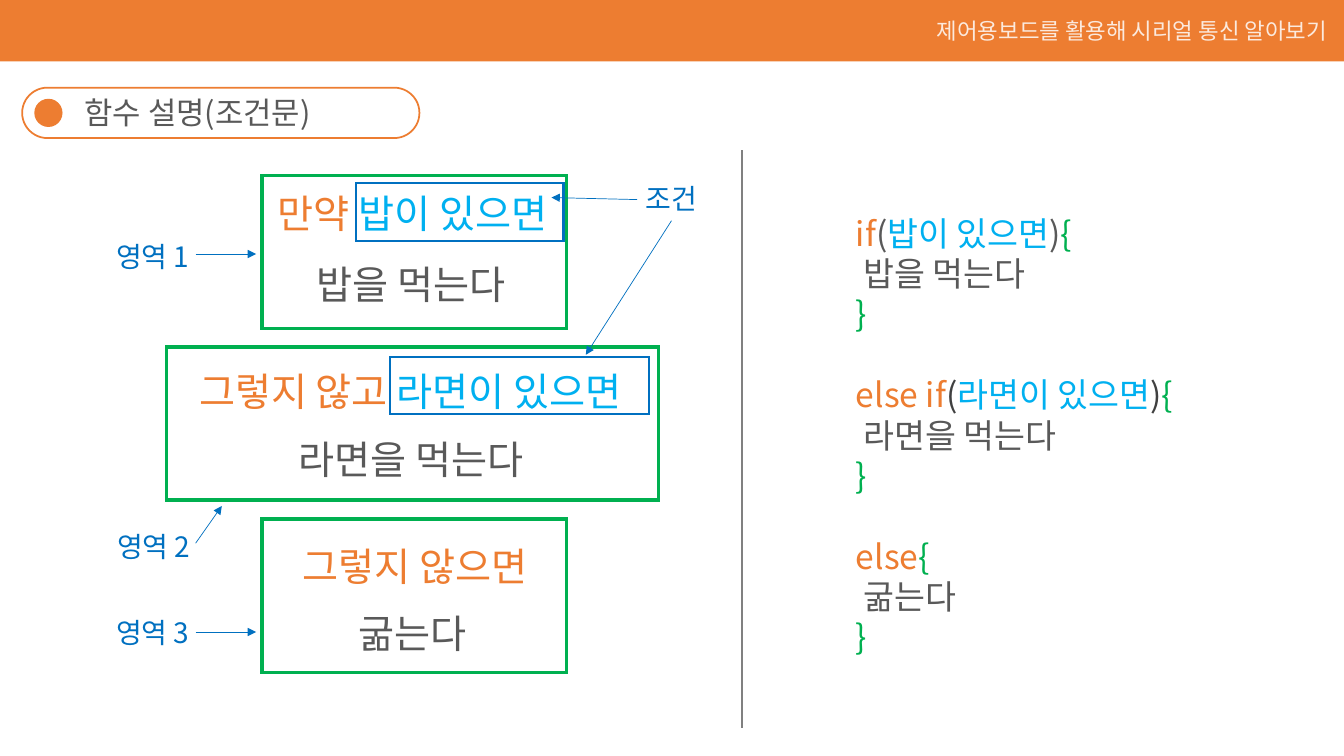
from lxml import etree
from pptx import Presentation
from pptx.dml.color import RGBColor
from pptx.enum import shapes, text
from pptx.oxml import ns
from pptx.util import Inches, Pt

FONT = "Noto Sans CJK KR"
ORANGE, GRAY, DARK = "ED7D31", "595959", "404040"
SKY, BLUE, GREEN, WHITE = "00B0F0", "0070C0", "00B050", "FFFFFF"
LEFT, CENTER, RIGHT = text.PP_ALIGN.LEFT, text.PP_ALIGN.CENTER, text.PP_ALIGN.RIGHT
RECTANGLE = shapes.MSO_SHAPE.RECTANGLE


def color(hex_string):
    return RGBColor.from_string(hex_string)


def add_runs(paragraph, runs, size, alignment):
    """Fill a paragraph with (wording, colour) runs."""
    paragraph.alignment = alignment
    for wording, run_color in runs:
        run = paragraph.add_run()
        run.text = wording
        run.font.size = Pt(size)
        run.font.color.rgb = color(run_color)
        run.font.name = FONT
        properties = run.font._element
        etree.SubElement(properties, ns.qn("a:ea"), typeface=FONT)


presentation = Presentation()
presentation.slide_width = Inches(13.33)
presentation.slide_height = Inches(7.5)
slide = presentation.slides.add_slide(presentation.slide_layouts[5])

# Header band, title pill and its dot
decorations = [
    (RECTANGLE, (0, 0, 13.33, 0.61), ORANGE, None),
    (shapes.MSO_SHAPE.ROUNDED_RECTANGLE, (0.22, 0.87, 3.94, 0.5), WHITE, (ORANGE, 1.25)),
    (shapes.MSO_SHAPE.OVAL, (0.34, 0.98, 0.28, 0.28), ORANGE, None),
]
# Green areas and blue conditions
outlines = [
    (RECTANGLE, (2.6, 1.74, 3.02, 1.52), None, (GREEN, 2.5)),
    (RECTANGLE, (1.65, 3.44, 4.88, 1.52), None, (GREEN, 2.5)),
    (RECTANGLE, (2.6, 5.15, 3.02, 1.52), None, (GREEN, 2.5)),
    (RECTANGLE, (3.53, 1.82, 2.06, 0.57), None, (BLUE, 1.5)),
    (RECTANGLE, (3.87, 3.54, 2.57, 0.57), None, (BLUE, 1.5)),
]
for preset, box, fill, line in decorations + outlines:
    shape = slide.shapes.add_shape(preset, *map(Inches, box))
    shape.shadow.inherit = False
    if preset == shapes.MSO_SHAPE.ROUNDED_RECTANGLE:
        shape.adjustments[0] = 0.5
    if fill:
        shape.fill.solid()
        shape.fill.fore_color.rgb = color(fill)
    else:
        shape.fill.background()
    if line:
        shape.line.color.rgb = color(line[0])
        shape.line.width = Pt(line[1])
        etree.SubElement(shape.element.spPr.find(ns.qn("a:ln")), ns.qn("a:miter"), lim="800000")
    else:
        shape.line.fill.background()

# Title, raised above the pill
title = slide.shapes.title
title.left, title.top, title.width, title.height = map(Inches, (0.74, 0.95, 3.26, 0.38))
title.text_frame.vertical_anchor = text.MSO_ANCHOR.MIDDLE
title.text_frame.auto_size = text.MSO_AUTO_SIZE.NONE
title_paragraph = title.text_frame.paragraphs[0]
title_paragraph.line_spacing = 0.9
add_runs(title_paragraph, [("함수 설명(조건문)", GRAY)], 22, LEFT)
title.element.getparent().append(title.element)

# Divider and arrows
connectors = [
    ((7.36, 1.49, 7.36, 7.22), "808080", 1.5, False),
    ((6.32, 1.98, 5.47, 1.96), BLUE, 0.5, True),
    ((6.66, 2.19, 5.81, 3.52), BLUE, 0.5, True),
    ((1.94, 2.52, 2.54, 2.52), BLUE, 0.5, True),
    ((1.94, 5.39, 2.2, 5.02), BLUE, 0.5, True),
    ((1.94, 6.27, 2.54, 6.27), BLUE, 0.5, True),
]
for ends, line_color, width, has_arrow in connectors:
    connector = slide.shapes.add_connector(shapes.MSO_CONNECTOR.STRAIGHT, *map(Inches, ends))
    connector.line.color.rgb = color(line_color)
    connector.line.width = Pt(width)
    shape_properties = connector.element.spPr
    if has_arrow:
        line_element = shape_properties.find(ns.qn("a:ln"))
        etree.SubElement(line_element, ns.qn("a:tailEnd"), type="triangle")
    etree.SubElement(shape_properties, ns.qn("a:effectLst"))

# Sentences, labels and header wording
texts = [
    ((1.75, 1.83, 4.68, 0.57), 28, CENTER, [("만약 ", ORANGE), ("밥이 있으면", SKY)]),
    ((2.2, 2.53, 3.75, 0.57), 28, CENTER, [("밥을 먹는다", GRAY)]),
    ((1.53, 3.59, 5.08, 0.57), 28, CENTER, [("그렇지 않고 ", ORANGE), ("라면이 있으면", SKY)]),
    ((2.2, 4.27, 3.75, 0.57), 28, CENTER, [("라면을 먹는다", GRAY)]),
    ((1.58, 5.33, 5.08, 0.57), 28, CENTER, [("그렇지 않으면", ORANGE)]),
    ((2.22, 6, 3.75, 0.57), 28, CENTER, [("굶는다", GRAY)]),
    ((6.15, 1.75, 1.02, 0.44), 20, CENTER, [("조건", BLUE)]),
    ((1.04, 2.33, 0.95, 0.44), 20, CENTER, [("영역 1", BLUE)]),
    ((1.05, 5.2, 0.95, 0.44), 20, CENTER, [("영역 2", BLUE)]),
    ((1.04, 6.06, 0.95, 0.44), 20, CENTER, [("영역 3", BLUE)]),
    ((9.08, 0.12, 4.18, 0.37), 16, RIGHT, [("제어용보드를 활용해 시리얼 통신 알아보기", WHITE)]),
]
for box, size, alignment, runs in texts:
    label = slide.shapes.add_textbox(*map(Inches, box))
    label.text_frame.word_wrap = True
    label.text_frame.auto_size = text.MSO_AUTO_SIZE.SHAPE_TO_FIT_TEXT
    add_runs(label.text_frame.paragraphs[0], runs, size, alignment)

# The header wording, last in the list, is slightly transparent
for header_color in label.element.iter(ns.qn("a:srgbClr")):
    etree.SubElement(header_color, ns.qn("a:alpha"), val="83000")

# Code: each branch has an opening line, a body and a closing brace
branches = [
    ([("if", ORANGE), ("(", GRAY), ("밥이 있으면", SKY), (")", GRAY)], " 밥을 먹는다"),
    ([("else if", ORANGE), ("(", DARK), ("라면이 있으면", SKY), (")", DARK)], " 라면을 먹는다"),
    ([("else", ORANGE)], " 굶는다"),
]
code = slide.shapes.add_textbox(*map(Inches, (8.39, 2.06, 3.75, 4.54)))
code.text_frame.word_wrap = True
code.text_frame.auto_size = text.MSO_AUTO_SIZE.SHAPE_TO_FIT_TEXT
for index, (opening, body) in enumerate(branches):
    if index == 0:
        paragraph = code.text_frame.paragraphs[0]
    else:
        paragraph = code.text_frame.add_paragraph()
        paragraph.space_before = Pt(29)
    add_runs(paragraph, opening + [("{", GREEN)], 24, LEFT)
    for line_run in [(body, GRAY), ("}", GREEN)]:
        add_runs(code.text_frame.add_paragraph(), [line_run], 24, LEFT)

presentation.save("out.pptx")
